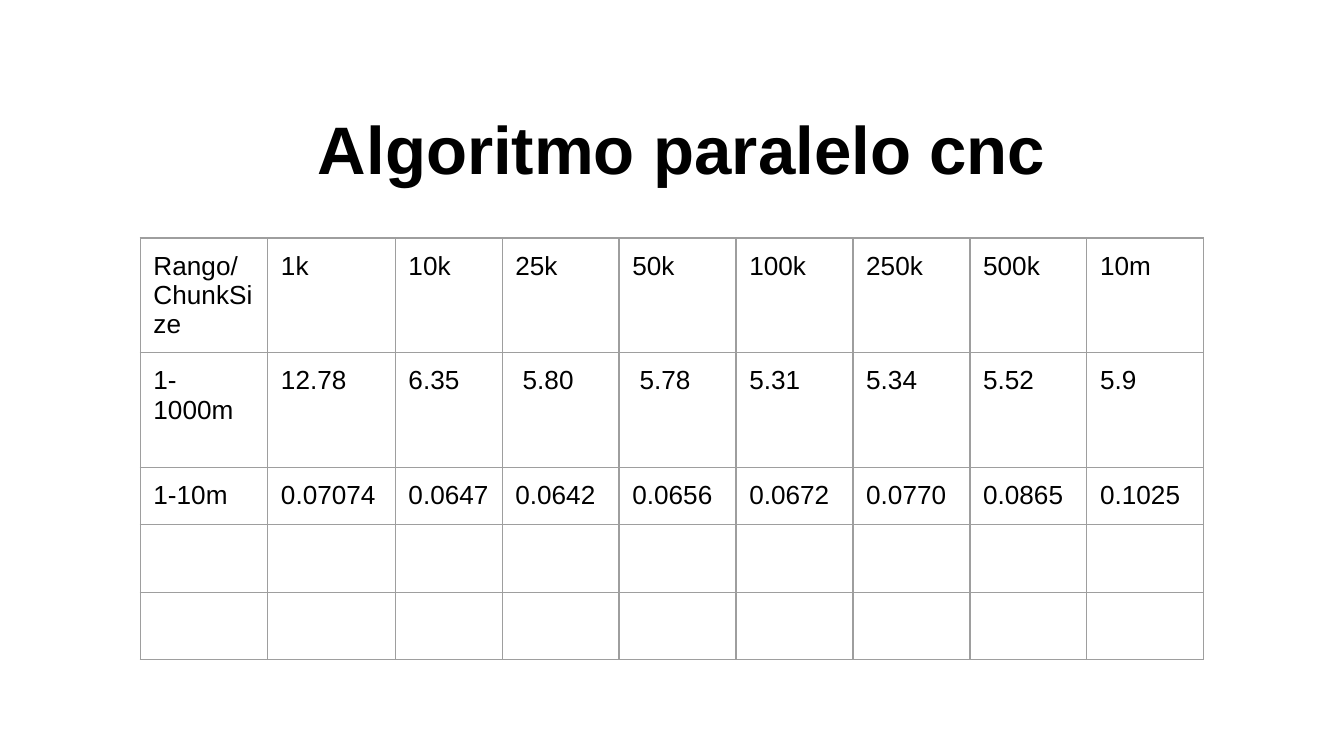
from lxml import etree
from pptx import Presentation, util as u
from pptx.dml.color import RGBColor
from pptx.enum import text
from pptx.oxml.ns import qn

BLACK = RGBColor(0x00, 0x00, 0x00)
WHITE = RGBColor(0xFF, 0xFF, 0xFF)
GRAY = RGBColor(0x9E, 0x9E, 0x9E)
MARGIN = u.Cm(0.25)

COL_WIDTHS = [2.41, 2.41, 2.02] + [2.21] * 6
ROW_HEIGHTS = [2.17, 2.17, 1.08, 1.22, 1.22]
ROWS = [
    ["Rango/ChunkSize", "1k", "10k", "25k", "50k", "100k", "250k", "500k", "10m"],
    ["1-1000m", "12.78", "6.35", " 5.80", " 5.78", "5.31", "5.34", "5.52", "5.9"],
    ["1-10m", "0.07074", "0.0647", "0.0642", "0.0656", "0.0672", "0.0770", "0.0865", "0.1025"],
    [""] * 9,
    [""] * 9,
]


def add_run(p, content, size, bold=False):
    r = p.add_run()
    r.text = content
    r.font.name = "Arial"
    r.font.size = u.Pt(size)
    r.font.bold = bold
    r.font.color.rgb = BLACK


def add_borders(cell):
    """Line all four sides; the lines must precede the fill in tcPr."""
    tcPr = cell._tc.get_or_add_tcPr()
    for i, side in enumerate(("lnL", "lnR", "lnT", "lnB")):
        ln = etree.Element(qn(f"a:{side}"), w=str(u.Pt(0.75)))
        fill = etree.SubElement(ln, qn("a:solidFill"))
        etree.SubElement(fill, qn("a:srgbClr"), val=str(GRAY))
        tcPr.insert(i, ln)


prs = Presentation()
prs.slide_width, prs.slide_height = u.Cm(25.4), u.Cm(14.29)
s = prs.slides.add_slide(prs.slide_layouts[6])
s.background.fill.solid()
s.background.fill.fore_color.rgb = WHITE

# Timing table
frame = s.shapes.add_table(len(ROWS), len(COL_WIDTHS), u.Cm(2.65), u.Cm(4.5),
                           u.Cm(sum(COL_WIDTHS)), u.Cm(sum(ROW_HEIGHTS)))
table = frame.table
table.first_row = table.horz_banding = False
for col, width in zip(table.columns, COL_WIDTHS):
    col.width = u.Cm(width)
for row, height, values in zip(table.rows, ROW_HEIGHTS, ROWS):
    row.height = u.Cm(height)
    for cell, value in zip(row.cells, values):
        cell.margin_left = cell.margin_right = MARGIN
        cell.margin_top = cell.margin_bottom = MARGIN
        cell.fill.background()
        add_borders(cell)
        if value:
            add_run(cell.text_frame.paragraphs[0], value, 14)

# Title
sp = s.shapes.add_textbox(u.Cm(3.63), u.Cm(1.63), u.Cm(18.52), u.Cm(2.34))
tf = sp.text_frame
tf.word_wrap = True
tf.vertical_anchor = text.MSO_ANCHOR.MIDDLE
tf.margin_left = tf.margin_right = tf.margin_top = tf.margin_bottom = MARGIN
p = tf.paragraphs[0]
p.alignment = text.PP_ALIGN.CENTER
add_run(p, "Algoritmo paralelo cnc", 36, bold=True)

prs.save("out.pptx")
